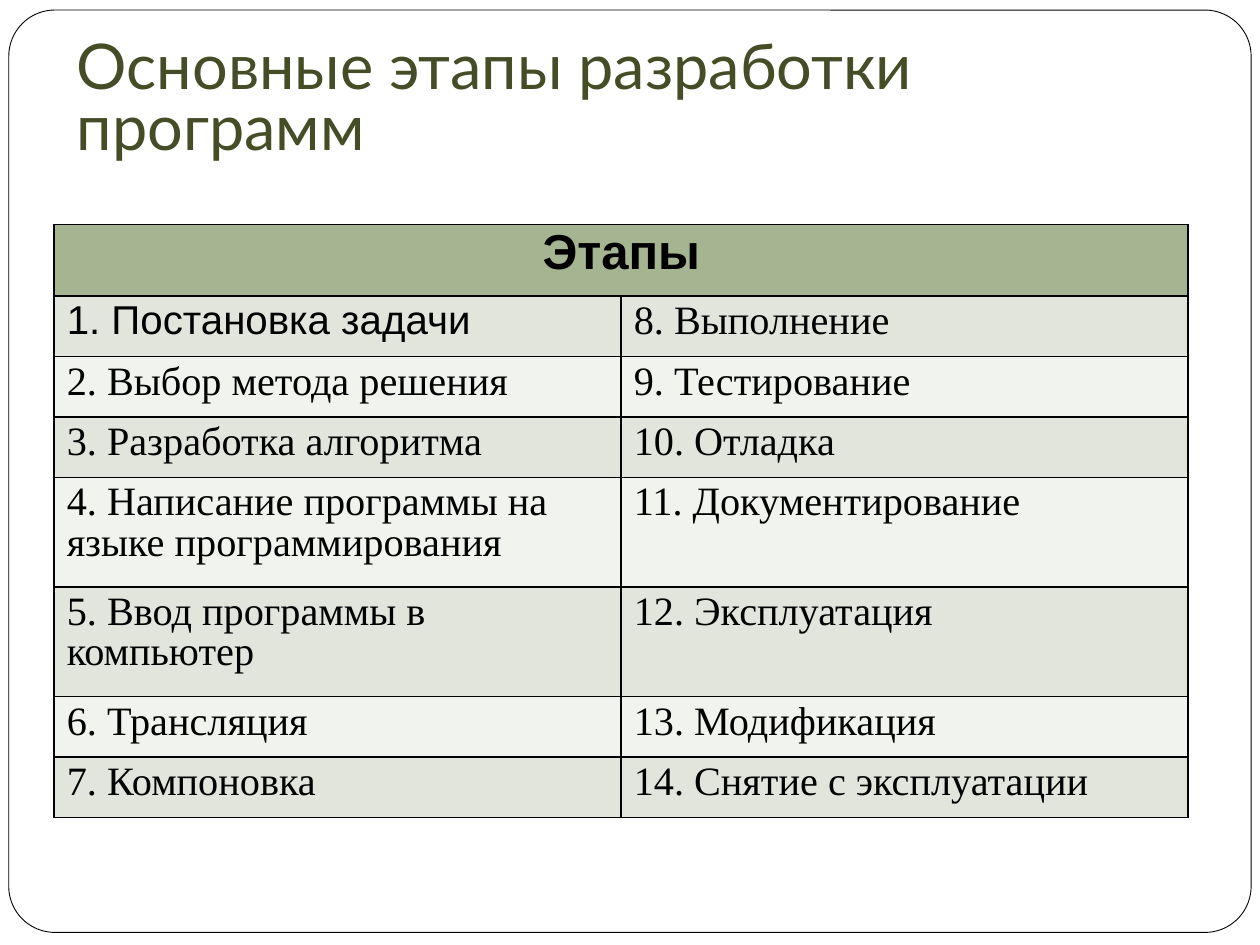
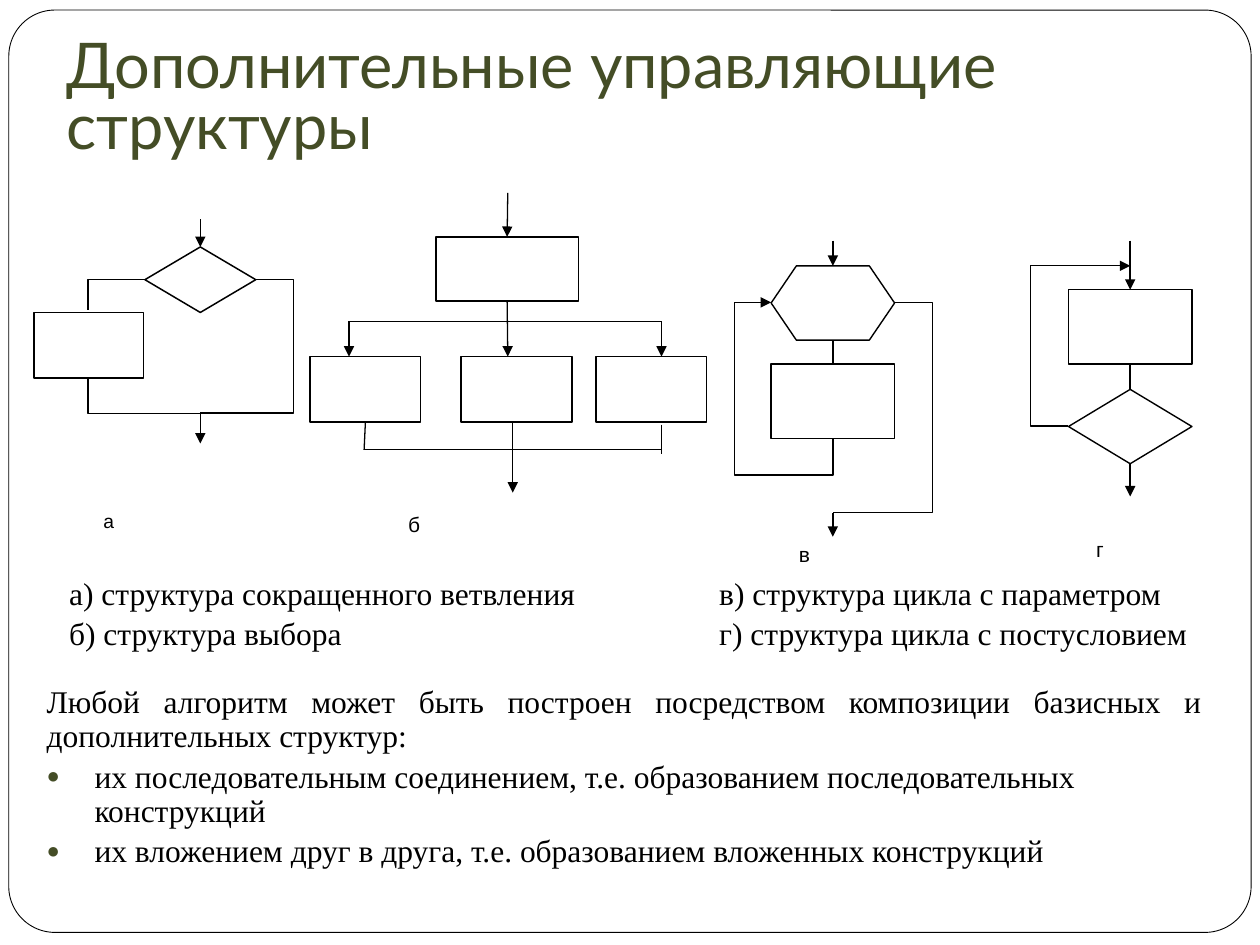
from dataclasses import dataclass
from typing import Optional

from lxml.etree import SubElement
from pptx import Presentation
from pptx.dml.color import RGBColor
from pptx.enum.shapes import MSO_CONNECTOR, MSO_SHAPE as Form
from pptx.enum.text import MSO_ANCHOR as Anchor, MSO_AUTO_SIZE as AutoSize, PP_ALIGN as Align
from pptx.oxml.ns import qn
from pptx.util import Inches, Pt

BLACK, WHITE, OLIVE = "000000", "FFFFFF", "444D26"
HEADER_FILL, BAND_FILLS = "A5B592", ("E1E5DC", "F0F3EE")
TITLE_FONT, SANS, SERIF = "Lato", "Arial", "Times New Roman"
SNAP = Inches(0.02)

Point = tuple[float, float]
Area = tuple[float, float, float, float]


@dataclass(frozen=True)
class TextStyle:
    font: str
    size: float
    color: str = BLACK
    bold: bool = False
    align: Align = Align.LEFT
    line_spacing: float = 0.9
    before: float = 0.2
    bullet: Optional[str] = None


@dataclass(frozen=True)
class Block:
    form: Form
    area: Area


@dataclass(frozen=True)
class Link:
    points: tuple[Point, ...]
    arrow: bool = False


@dataclass(frozen=True)
class Scheme:
    label: str
    label_area: Area
    label_size: float
    line_width: float
    blocks: tuple[Block, ...]
    links: tuple[Link, ...]


TITLE = TextStyle(TITLE_FONT, 36, OLIVE, line_spacing=0.8, before=0)
HEADER = TextStyle(SANS, 28, bold=True, align=Align.CENTER)
FIRST_STAGE = TextStyle(SANS, 23)
STAGE = TextStyle(SERIF, 23)
CAPTION = TextStyle(SERIF, 18)
LEAD = TextStyle(SERIF, 18, align=Align.JUSTIFY)
ITEM = TextStyle(SERIF, 18, bullet="●")

STAGES = (
    "Постановка задачи", "Выбор метода решения", "Разработка алгоритма",
    "Написание программы на языке программирования", "Ввод программы в компьютер",
    "Трансляция", "Компоновка", "Выполнение", "Тестирование", "Отладка",
    "Документирование", "Эксплуатация", "Модификация", "Снятие с эксплуатации",
)
ROW_HEIGHTS = (0.57, 0.48, 0.48, 0.48, 0.87, 0.87, 0.48, 0.48)

SHORT_BRANCH = Scheme(
    "а", (0.82, 4.06, 0.09, 0.17), 11, 0.85,
    (
        Block(Form.RECTANGLE, (0.27, 2.48, 0.87, 0.52)),
        Block(Form.DIAMOND, (1.15, 1.96, 0.88, 0.52)),
    ),
    (
        Link(((1.59, 1.74), (1.59, 1.96)), True),
        Link(((1.15, 2.22), (0.7, 2.22), (0.7, 2.46))),
        Link(((0.7, 3), (0.7, 3.28), (1.59, 3.28))),
        Link(((2.03, 2.22), (2.33, 2.22), (2.33, 3.28), (1.59, 3.28))),
        Link(((1.59, 3.28), (1.59, 3.52)), True),
    ),
)
CHOICE = Scheme(
    "б", (3.24, 4.08, 0.1, 0.18), 12, 0.75,
    (
        Block(Form.RECTANGLE, (3.46, 1.88, 1.13, 0.51)),
        *(Block(Form.RECTANGLE, (left, 2.83, 0.88, 0.52)) for left in (2.46, 3.66, 4.73)),
    ),
    (
        Link(((4.03, 1.53), (4.03, 1.88)), True),
        Link(((4.03, 2.39), (4.03, 2.83)), True),
        Link(((2.77, 2.55), (5.25, 2.55))),
        Link(((2.77, 2.55), (2.77, 2.83)), True),
        Link(((5.25, 2.55), (5.25, 2.83)), True),
        Link(((2.89, 3.35), (2.89, 3.57))),
        Link(((4.07, 3.35), (4.07, 3.57))),
        Link(((5.25, 3.37), (5.25, 3.6))),
        Link(((2.89, 3.57), (5.25, 3.57))),
        Link(((4.07, 3.57), (4.07, 3.91)), True),
    ),
)
COUNTED_LOOP = Scheme(
    "в", (6.34, 4.32, 0.09, 0.18), 12, 0.8,
    (
        Block(Form.HEXAGON, (6.12, 2.11, 0.98, 0.59)),
        Block(Form.RECTANGLE, (6.12, 2.89, 0.98, 0.59)),
    ),
    (
        Link(((6.61, 1.91), (6.61, 2.11)), True),
        Link(((6.61, 2.7), (6.61, 2.89))),
        Link(((6.61, 3.48), (6.61, 3.77), (5.83, 3.77), (5.83, 2.4), (6.12, 2.4)), True),
        Link(((7.1, 2.4), (7.4, 2.4), (7.4, 4.07), (6.61, 4.07))),
        Link(((6.61, 4.07), (6.61, 4.26)), True),
    ),
)
POST_LOOP = Scheme(
    "г", (8.7, 4.28, 0.06, 0.18), 12, 0.8,
    (
        Block(Form.RECTANGLE, (8.48, 2.3, 0.98, 0.59)),
        Block(Form.DIAMOND, (8.48, 3.09, 0.98, 0.59)),
    ),
    (
        Link(((8.97, 1.91), (8.97, 2.3)), True),
        Link(((8.97, 2.89), (8.97, 3.09))),
        Link(((8.48, 3.38), (8.18, 3.38), (8.18, 2.11), (8.97, 2.11)), True),
        Link(((8.97, 3.68), (8.97, 3.94)), True),
    ),
)


def rgb(color: str) -> RGBColor:
    return RGBColor.from_string(color)


def inches(values) -> list:
    return [Inches(value) for value in values]


def place(shape, area: Area) -> None:
    shape.left, shape.top, shape.width, shape.height = inches(area)


def set_bullet(para, bullet: Optional[str]) -> None:
    properties = para._p.get_or_add_pPr()
    hang = Inches(0.38) if bullet else 0
    properties.set("marL", str(hang))
    properties.set("indent", str(-hang))
    if bullet is None:
        SubElement(properties, qn("a:buNone"))
        return
    color = SubElement(properties, qn("a:buClr"))
    SubElement(color, qn("a:srgbClr"), val=OLIVE)
    SubElement(properties, qn("a:buSzPct"), val="70000")
    SubElement(properties, qn("a:buChar"), char=bullet)


def write(frame, lines: list[tuple[str, TextStyle]]) -> None:
    for index, (text, style) in enumerate(lines):
        para = frame.add_paragraph() if index else frame.paragraphs[0]
        para.text = text
        set_bullet(para, style.bullet)
        para.alignment = style.align
        para.line_spacing = style.line_spacing
        para.space_before = Pt(style.size * style.before)
        para.font.name = style.font
        para.font.size = Pt(style.size)
        para.font.bold = style.bold
        para.font.color.rgb = rgb(style.color)


def add_text(slide, area: Area, lines: list[tuple[str, TextStyle]]):
    frame = slide.shapes.add_textbox(*inches(area)).text_frame
    frame.word_wrap = True
    write(frame, lines)
    return frame


def set_title(slide, text: str, area: Area) -> None:
    place(slide.shapes.title, area)
    frame = slide.shapes.title.text_frame
    frame.auto_size = AutoSize.NONE
    frame.vertical_anchor = Anchor.BOTTOM
    frame.margin_bottom = Inches(0.1)
    write(frame, [(text, TITLE)])


def outline(shape, width: float, fill: Optional[str] = None) -> None:
    shape.shadow.inherit = False
    if fill:
        shape.fill.solid()
        shape.fill.fore_color.rgb = rgb(fill)
    else:
        shape.fill.background()
    shape.line.color.rgb = rgb(BLACK)
    shape.line.width = Pt(width)


def add_block(slide, block: Block, width: float):
    shape = slide.shapes.add_shape(block.form, *inches(block.area))
    if block.form == Form.HEXAGON:
        shape.adjustments[0] = 0.34
    outline(shape, width, WHITE)
    return shape


def find_side(shapes: list, point: Point):
    x, y = inches(point)
    for shape in shapes:
        middle_x, middle_y = shape.left + shape.width // 2, shape.top + shape.height // 2
        sides = (
            (middle_x, shape.top), (shape.left, middle_y),
            (middle_x, shape.top + shape.height), (shape.left + shape.width, middle_y),
        )
        for site, (side_x, side_y) in enumerate(sides):
            if abs(side_x - x) <= SNAP and abs(side_y - y) <= SNAP:
                return shape, site
    return None


def add_link(slide, link: Link, width: float, targets: list) -> None:
    start, *rest = link.points
    if len(rest) == 1:
        line = slide.shapes.add_connector(MSO_CONNECTOR.STRAIGHT, *inches(start + rest[0]))
        for point, connect in ((start, line.begin_connect), (rest[0], line.end_connect)):
            side = find_side(targets, point)
            if side:
                connect(*side)
        line.line.color.rgb = rgb(BLACK)
        line.line.width = Pt(width)
        SubElement(line.element.spPr, qn("a:effectLst"))
    else:
        builder = slide.shapes.build_freeform(*inches(start))
        builder.add_line_segments([inches(point) for point in rest], close=False)
        line = builder.convert_to_shape()
        outline(line, width)
    if link.arrow:
        SubElement(line.element.spPr.find(qn("a:ln")), qn("a:tailEnd"), type="triangle")


def add_scheme(slide, scheme: Scheme) -> None:
    shapes = [add_block(slide, block, scheme.line_width) for block in scheme.blocks]
    targets = [shape for shape in shapes if shape.auto_shape_type != Form.HEXAGON]
    for link in scheme.links:
        add_link(slide, link, scheme.line_width, targets)
    frame = add_text(slide, scheme.label_area, [(scheme.label, TextStyle(SANS, scheme.label_size))])
    frame.margin_left = frame.margin_top = frame.margin_right = frame.margin_bottom = 0
    frame.word_wrap = False


def format_cell(cell, fill: str) -> None:
    properties = cell._tc.get_or_add_tcPr()
    for side in ("lnL", "lnR", "lnT", "lnB"):
        border = SubElement(properties, qn(f"a:{side}"), w=str(Pt(1)))
        SubElement(SubElement(border, qn("a:solidFill")), qn("a:srgbClr"), val=BLACK)
    cell.fill.solid()
    cell.fill.fore_color.rgb = rgb(fill)


def add_stage_table(slide) -> None:
    area = inches((0.43, 1.78, 9, sum(ROW_HEIGHTS)))
    table = slide.shapes.add_table(len(ROW_HEIGHTS), 2, *area).table
    table.first_row = table.horz_banding = False
    for row, height in zip(table.rows, ROW_HEIGHTS):
        row.height = Inches(height)
    for cell in table.rows[0].cells:
        format_cell(cell, HEADER_FILL)
    table.cell(0, 0).merge(table.cell(0, 1))
    write(table.cell(0, 0).text_frame, [("Этапы", HEADER)])
    for index, stage in enumerate(STAGES):
        column, row = divmod(index, len(ROW_HEIGHTS) - 1)
        cell = table.cell(row + 1, column)
        format_cell(cell, BAND_FILLS[row % 2])
        style = STAGE if index else FIRST_STAGE
        write(cell.text_frame, [(f"{index + 1}. {stage}", style)])


def add_master_frame(deck, slide) -> None:
    frame = slide.shapes.add_shape(Form.ROUNDED_RECTANGLE, *inches((0.07, 0.08, 9.86, 7.32)))
    frame.adjustments[0] = 0.05
    outline(frame, 0.5, WHITE)
    deck.slide_master.shapes.element.insert(2, frame.element)


def build_stages(deck) -> None:
    slide = deck.slides.add_slide(deck.slide_layouts.get_by_name("Title Only"))
    add_master_frame(deck, slide)
    set_title(slide, "Основные этапы разработки программ", (0.51, 0.6, 8.82, 0.79))
    add_stage_table(slide)


def build_structures(deck) -> None:
    slide = deck.slides.add_slide(deck.slide_layouts.get_by_name("Title and Content"))
    set_title(slide, "Дополнительные управляющие структуры", (0.43, 0.36, 9.06, 1.02))
    for scheme in (SHORT_BRANCH, CHOICE, COUNTED_LOOP, POST_LOOP):
        add_scheme(slide, scheme)
    add_text(slide, (0.45, 4.54, 4.82, 0.71), [
        ("а) структура сокращенного ветвления", CAPTION),
        ("б) структура выбора", CAPTION),
    ])
    add_text(slide, (5.61, 4.54, 4.25, 0.71), [
        ("в) структура цикла с параметром", CAPTION),
        ("г) структура цикла с постусловием", CAPTION),
    ])
    body = slide.placeholders[1]
    place(body, (0.27, 5.4, 9.37, 1.59))
    body.text_frame.auto_size = AutoSize.NONE
    write(body.text_frame, [
        ("Любой алгоритм может быть построен посредством композиции базисных "
         "и дополнительных структур:", LEAD),
        ("их последовательным соединением, т.е. образованием последовательных конструкций", ITEM),
        ("их вложением друг в друга, т.е. образованием вложенных конструкций", ITEM),
    ])


def main() -> None:
    deck = Presentation()
    deck.slide_width, deck.slide_height = Inches(10), Inches(7.5)
    build_stages(deck)
    build_structures(deck)
    deck.save("out.pptx")


if __name__ == "__main__":
    main()
